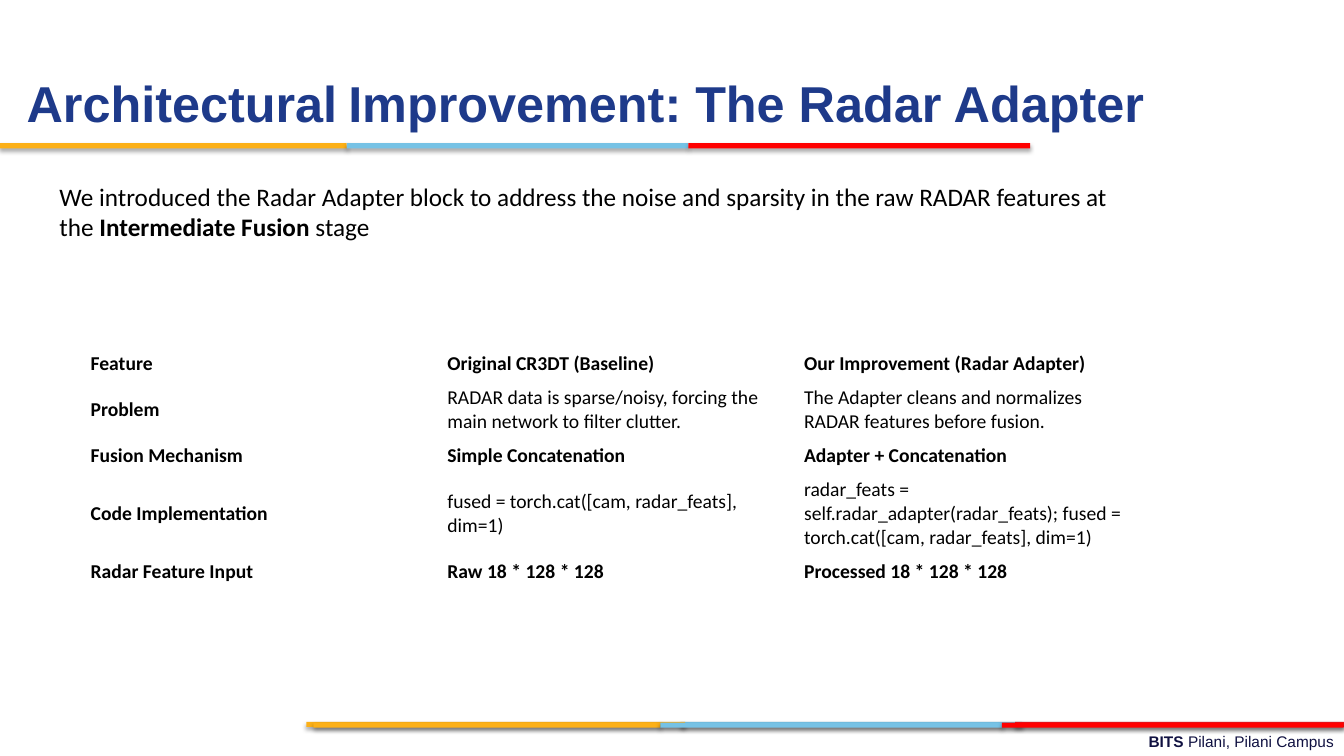
from pptx import Presentation
from pptx.dml.color import RGBColor
from pptx.enum.shapes import MSO_SHAPE
from pptx.enum.text import MSO_ANCHOR, PP_ALIGN
from pptx.oxml import parse_xml
from pptx.util import Cm, Pt

RECTANGLE = MSO_SHAPE.RECTANGLE
MIDDLE = MSO_ANCHOR.MIDDLE
TOP = MSO_ANCHOR.TOP
LEFT, RIGHT = PP_ALIGN.LEFT, PP_ALIGN.RIGHT

BLACK = RGBColor(0x00, 0x00, 0x00)
NAVY = RGBColor(0x10, 0x11, 0x41)
TITLE_BLUE = RGBColor(0x1E, 0x3A, 0x8A)
YELLOW = RGBColor(0xFC, 0xB0, 0x17)
SKY = RGBColor(0x76, 0xC2, 0xE5)
RED = RGBColor(0xFF, 0x00, 0x00)
DARK_RED = RGBColor(0xE3, 0x1C, 0x24)

DRAWING_NS = "http://schemas.openxmlformats.org/drawingml/2006/main"
BAR_SHADOW = (
    f'<a:effectLst xmlns:a="{DRAWING_NS}">'
    f'<a:outerShdw blurRad="{Pt(3.1)}" dist="{Pt(1.8)}" dir="5400000" rotWithShape="0">'
    '<a:srgbClr val="000000"><a:alpha val="35000"/></a:srgbClr>'
    '</a:outerShdw></a:effectLst>'
)
CELL_BORDER = (
    '<a:{side} xmlns:a="' + DRAWING_NS + f'" w="{Pt(0.6)}">'
    '<a:solidFill><a:srgbClr val="FFFFFF"/></a:solidFill></a:{side}>'
)

BAR_HEIGHT = 0.13
STRIP_WIDTHS = (8.74, 8.61, 8.61)

COMPARISON = [
    ("Feature", "Original CR3DT (Baseline)", "Our Improvement (Radar Adapter)"),
    ("Problem",
     "RADAR data is sparse/noisy, forcing the main network to filter clutter.",
     "The Adapter cleans and normalizes RADAR features before fusion."),
    ("Fusion Mechanism", "Simple Concatenation", "Adapter + Concatenation"),
    ("Code Implementation",
     "fused = torch.cat([cam, radar_feats], dim=1)",
     "radar_feats = self.radar_adapter(radar_feats); "
     "fused = torch.cat([cam, radar_feats], dim=1)"),
    ("Radar Feature Input", "Raw 18 * 128 * 128", "Processed 18 * 128 * 128"),
]
LINES_PER_ROW = (1, 2, 1, 3, 1)


def write(frame, *parts, font="Calibri", size=18, color=BLACK, align=LEFT, spacing=None):
    """Fill a frame with one paragraph of (text, bold) or (text, bold, size) parts."""
    frame.word_wrap = True
    paragraph = frame.paragraphs[0]
    paragraph.alignment = align
    if spacing:
        paragraph.line_spacing = spacing
    for text, bold, *own_size in parts:
        run = paragraph.add_run()
        run.text = text
        run.font.name = font
        run.font.size = Pt(own_size[0] if own_size else size)
        run.font.bold = bold
        run.font.color.rgb = color


def add_text(slide, left, top, width, height, *parts, margins=(0.25, 0.13), **text_format):
    frame = slide.shapes.add_textbox(Cm(left), Cm(top), Cm(width), Cm(height)).text_frame
    frame.vertical_anchor = TOP
    frame.margin_left = frame.margin_right = Cm(margins[0])
    frame.margin_top = frame.margin_bottom = Cm(margins[1])
    write(frame, *parts, **text_format)


def add_bar(slide, left, top, width, color):
    bar = slide.shapes.add_shape(RECTANGLE, Cm(left), Cm(top), Cm(width), Cm(BAR_HEIGHT))
    bar.fill.solid()
    bar.fill.fore_color.rgb = color
    bar.line.fill.background()
    bar._element.spPr.append(parse_xml(BAR_SHADOW))


def add_strip(slide, left, top):
    """Draw yellow, sky and red bars end to end."""
    for width, color in zip(STRIP_WIDTHS, (YELLOW, SKY, RED)):
        add_bar(slide, left, top, width, color)
        left += width


def add_comparison(slide, left, top, column_width):
    heights = [0.6 * lines + 0.26 for lines in LINES_PER_ROW]
    column_count = len(COMPARISON[0])
    table = slide.shapes.add_table(
        len(COMPARISON), column_count, Cm(left), Cm(top),
        Cm(column_width * column_count), Cm(sum(heights))).table
    table.first_row = table.horz_banding = False
    for column in table.columns:
        column.width = Cm(column_width)
    for row_index, (texts, lines) in enumerate(zip(COMPARISON, LINES_PER_ROW)):
        table.rows[row_index].height = Cm(heights[row_index])
        for column_index, text in enumerate(texts):
            cell = table.cell(row_index, column_index)
            cell.vertical_anchor = MIDDLE
            # Labels and one-line rows are bold
            write(cell.text_frame, (text, column_index == 0 or lines == 1), size=14)
            for side in ("lnL", "lnR", "lnT", "lnB"):
                cell._tc.get_or_add_tcPr().append(parse_xml(CELL_BORDER.format(side=side)))
            cell.fill.background()


def main():
    presentation = Presentation()
    presentation.slide_width, presentation.slide_height = Cm(33.87), Cm(19.05)
    slide = presentation.slides.add_slide(presentation.slide_layouts[6])

    # Footer
    add_text(slide, 12.14, 18.31, 21.73, 0.71,
             ("BITS ", True), ("Pilani, Pilani Campus", False),
             font="Arial", size=11, color=NAVY, align=RIGHT)
    for left, width, color in ((17.15, 8.61, SKY), (25.58, 8.29, DARK_RED), (7.72, 9.55, YELLOW)):
        add_bar(slide, left, 18.19, width, color)
    add_strip(slide, 7.9, 18.21)

    # Title and its underline
    add_strip(slide, 0, 3.61)
    add_text(slide, 0.67, 2, 30.48, 1.5,
             ("Architectural", True), (" ", True, 28), ("Improvement: The Radar Adapter", True),
             margins=(0, 0), font="Arial", size=36, color=TITLE_BLUE, spacing=0.9)

    # Comparison of baseline and adapter
    add_comparison(slide, 2.03, 8.74, 8.99)

    # Introduction
    add_text(slide, 1.25, 4.57, 26.97, 2.31,
             ("We introduced the Radar Adapter block to address the noise and sparsity "
              "in the raw RADAR features at the ", False),
             ("Intermediate Fusion", True), (" stage", False), margins=(0.25, 0))

    presentation.save("out.pptx")


if __name__ == "__main__":
    main()
